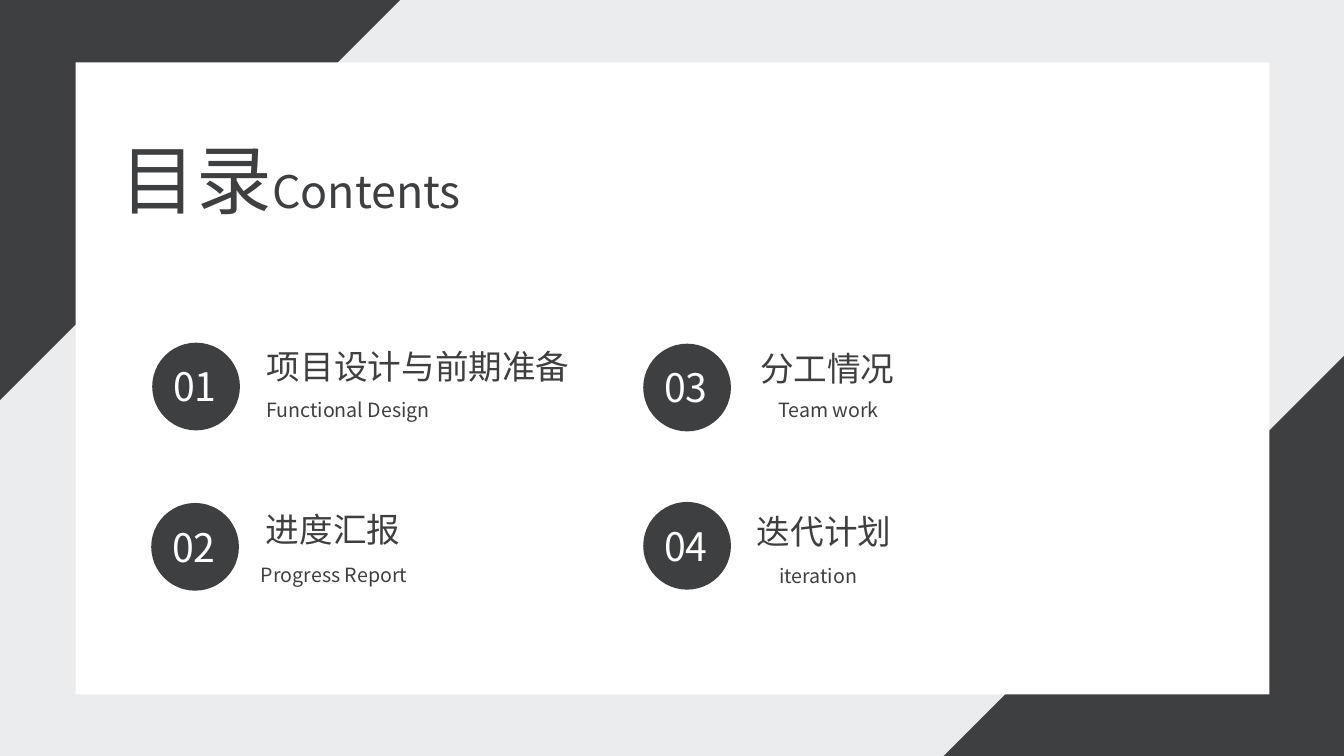
from lxml import etree
from pptx import Presentation
from pptx.dml.color import RGBColor
from pptx.enum.shapes import MSO_SHAPE
from pptx.enum.text import MSO_AUTO_SIZE
from pptx.oxml.ns import qn
from pptx.util import Inches, Pt

TRIANGLE = MSO_SHAPE.RIGHT_TRIANGLE
RECT = MSO_SHAPE.RECTANGLE
OVAL = MSO_SHAPE.OVAL
FIT = MSO_AUTO_SIZE.SHAPE_TO_FIT_TEXT

FONT = "Noto Sans CJK SC"
COLORS = {"bg": "EBECED", "dark": "3E3F41", "heading": "403F40", "white": "FFFFFF"}

prs = Presentation()
prs.slide_width, prs.slide_height = Inches(13.33), Inches(7.5)
s = prs.slides.add_slide(prs.slide_layouts[6])
s.background.fill.solid()
s.background.fill.fore_color.rgb = RGBColor.from_string(COLORS["bg"])


def add_shape(kind, x, y, w, h, color, rotation=0):
    sp = s.shapes.add_shape(kind, Inches(x), Inches(y), Inches(w), Inches(h))
    sp.shadow.inherit = False
    sp.fill.solid()
    sp.fill.fore_color.rgb = RGBColor.from_string(COLORS[color])
    sp.line.fill.background()
    sp.rotation = rotation


def add_text(x, y, w, h, runs, color, wrap=True):
    tf = s.shapes.add_textbox(Inches(x), Inches(y), Inches(w), Inches(h)).text_frame
    tf.word_wrap = wrap
    tf.auto_size = FIT
    p = tf.paragraphs[0]
    for text, size in runs:
        r = p.add_run()
        r.text = text
        r.font.size = Pt(size)
        r.font.color.rgb = RGBColor.from_string(COLORS[color])
        r.font.name = FONT
        etree.SubElement(r.font._element, qn("a:ea"), typeface=FONT)


# Corner triangles and white panel
add_shape(TRIANGLE, 9.36, 3.53, 3.97, 3.97, "dark", 270)
add_shape(TRIANGLE, 0, 0, 3.97, 3.97, "dark", 90)
add_shape(RECT, 0.75, 0.62, 11.84, 6.27, "white")

# Title
add_text(1.1, 1.27, 3.84, 1.01, [("目录", 54), ("Contents", 32)], "dark")

# Contents entries: number, circle x/y, heading and x/y/w, subtitle and x/y/w
entries = [
    ("01", 1.51, 3.4, "项目设计与前期准备", 2.55, 3.38, 3.34, "Functional Design", 2.54, 3.9, 1.89),
    ("02", 1.5, 4.99, "进度汇报", 2.54, 5, 2.66, "Progress Report", 2.49, 5.54, 1.71),
    ("03", 6.38, 3.41, "分工情况", 7.44, 3.4, 3.23, "Team work", 7.62, 3.9, 1.22),
    ("04", 6.38, 4.98, "迭代计划", 7.41, 5.02, 3.26, "iteration", 7.63, 5.55, 0.99),
]
for number, cx, cy, heading, hx, hy, hw, subtitle, sx, sy, sw in entries:
    add_shape(OVAL, cx, cy, 0.87, 0.87, "dark")
    add_text(cx + 0.11, cy + 0.15, 0.66, 0.57, [(number, 28)], "white", wrap=False)
    add_text(hx, hy, hw, 0.5, [(heading, 24)], "heading")
    add_text(sx, sy, sw, 0.34, [(subtitle, 14)], "dark", wrap=False)

prs.save("out.pptx")
